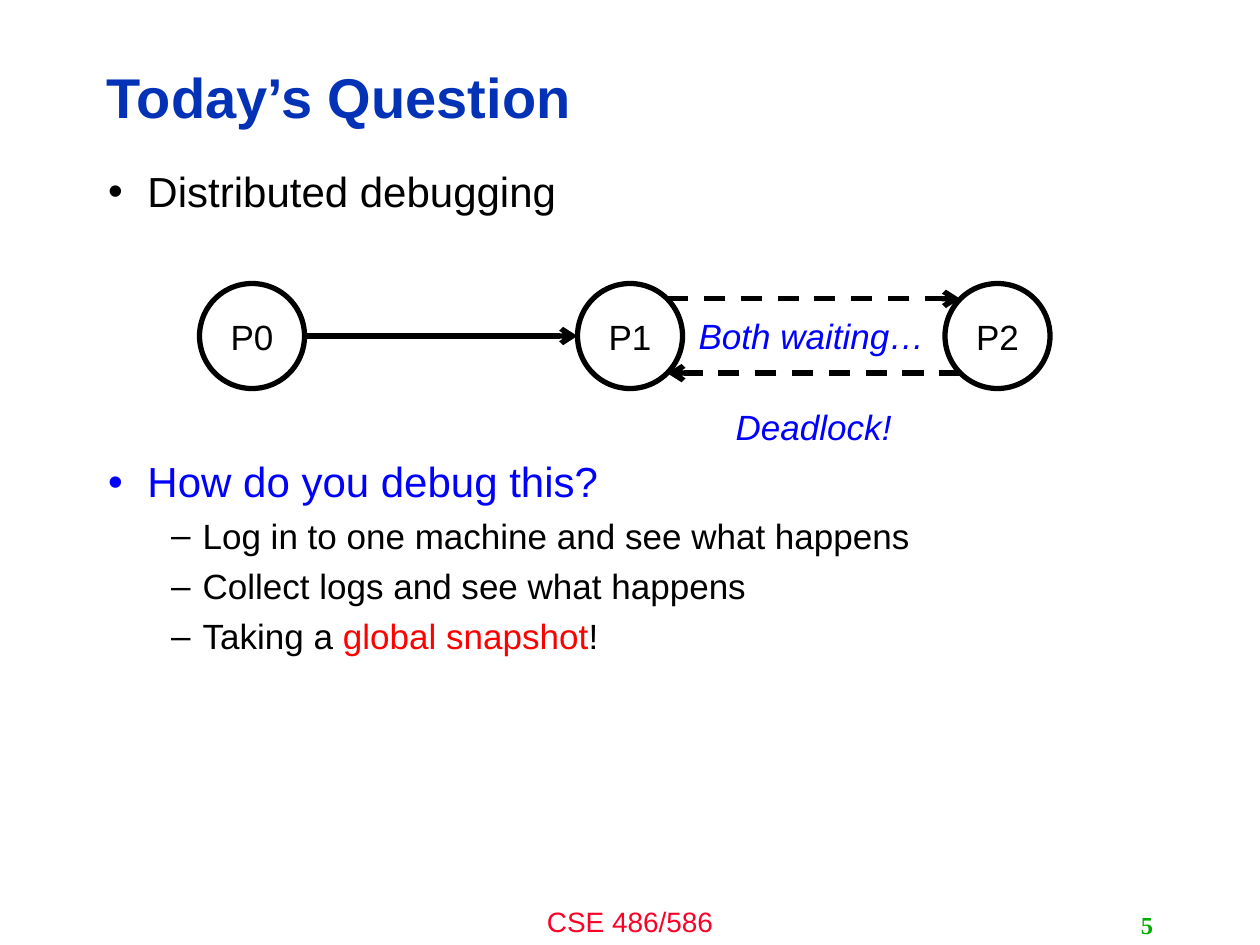
from math import sqrt

from lxml.etree import SubElement
from pptx import Presentation
from pptx.dml.color import RGBColor
from pptx.enum.dml import MSO_LINE
from pptx.enum.shapes import MSO_CONNECTOR, MSO_SHAPE
from pptx.enum.text import MSO_ANCHOR, PP_ALIGN
from pptx.oxml.ns import qn
from pptx.util import Pt

BLACK = RGBColor(0x00, 0x00, 0x00)
WHITE = RGBColor(0xFF, 0xFF, 0xFF)
BLUE = RGBColor(0x00, 0x00, 0xFF)
NAVY = RGBColor(0x03, 0x32, 0xB7)
RED = RGBColor(0xFF, 0x00, 0x00)
ROSE = RGBColor(0xFC, 0x01, 0x28)
GREEN = RGBColor(0x00, 0xAE, 0x00)


class Sketch:
    """Holds the style and the slide being drawn."""

    face = "Arial"
    small = 20
    weight = 3

    def __init__(self, slide):
        self.shapes = slide.shapes

    def style(self, para, size, color, bold=None, italic=None, face=None):
        font = para.font
        font.name = face or self.face
        font.size = Pt(size)
        font.bold = bold
        font.italic = italic
        font.color.rgb = color

    def frame(self, left, top, width, height, anchor=MSO_ANCHOR.TOP):
        box = self.shapes.add_textbox(Pt(left), Pt(top), Pt(width), Pt(height))
        frame = box.text_frame
        frame.word_wrap = True
        frame.vertical_anchor = anchor
        return frame

    def label(self, text, place, size, color, align=PP_ALIGN.CENTER,
              anchor=MSO_ANCHOR.TOP, **look):
        para = self.frame(*place, anchor).paragraphs[0]
        para.text = text
        para.alignment = align
        self.style(para, size, color, **look)

    def bullet(self, para, parts, mark, margin, hang, size, color, gap):
        """Fill a bulleted paragraph from (text, colour or None) parts."""
        props = para._p.get_or_add_pPr()
        props.set("marL", str(Pt(margin)))
        props.set("indent", str(Pt(-hang)))
        SubElement(props, qn("a:buFont"), typeface=self.face)
        SubElement(props, qn("a:buChar"), char=mark)
        para.line_spacing = 0.9
        para.space_before = Pt(gap)
        self.style(para, size, color)
        for text, tint in parts:
            run = para.add_run()
            run.text = text
            if tint:
                run.font.color.rgb = tint

    def node(self, text, x, y, radius):
        """Draw a labelled circle centred on x, y."""
        side = Pt(2 * radius)
        shape = self.shapes.add_shape(
            MSO_SHAPE.OVAL, Pt(x - radius), Pt(y - radius), side, side)
        shape.shadow.inherit = False
        shape.fill.solid()
        shape.fill.fore_color.rgb = WHITE
        shape.line.color.rgb = BLACK
        shape.line.width = Pt(self.weight)
        frame = shape.text_frame
        frame.vertical_anchor = MSO_ANCHOR.MIDDLE
        para = frame.paragraphs[0]
        para.text = text
        para.alignment = PP_ALIGN.CENTER
        self.style(para, self.small, BLACK)

    def arrow(self, start, end, y, dash=None):
        link = self.shapes.add_connector(
            MSO_CONNECTOR.STRAIGHT, Pt(start), Pt(y), Pt(end), Pt(y))
        link.line.color.rgb = BLACK
        link.line.width = Pt(self.weight)
        if dash:
            link.line.dash_style = dash
        SubElement(link.line._get_or_add_ln(), qn("a:tailEnd"), type="arrow")
        SubElement(link._element.spPr, qn("a:effectLst"))


def outline(sketch):
    body = sketch.frame(54.72, 94.3, 604.8, 388)
    tops = [("Distributed debugging", BLACK, 0),
            ("How do you debug this?", BLUE, 140)]
    subs = [[("Log in to one machine and see what happens", None)],
            [("Collect logs and see what happens", None)],
            [("Taking a ", None), ("global snapshot", RED), ("!", None)]]
    for text, color, gap in tops:
        para = body.add_paragraph() if gap else body.paragraphs[0]
        sketch.bullet(para, [(text, color)], "•", 22.5, 22.5, 24, color, gap)
    for parts in subs:
        sketch.bullet(body.add_paragraph(), parts, "–", 54, 18,
                      sketch.small, BLACK, 7)


def diagram(sketch):
    mid, radius = 192, 30
    nodes = {"P0": 144, "P1": 360, "P2": 570}
    for text, x in nodes.items():
        sketch.node(text, x, mid, radius)
    first, second, third = nodes.values()
    sketch.arrow(first + radius, second - radius, mid)
    slant = radius / sqrt(2)
    near, far = second + slant, third - slant
    sketch.arrow(near, far, mid - slant, MSO_LINE.DASH)
    sketch.arrow(far, near, mid + slant, MSO_LINE.DASH)
    for text, left, top in [("Deadlock!", 372, 228),
                            ("Both waiting…", 370.8, 176.4)]:
        sketch.label(text, (left, top, 186, 31.5), sketch.small, BLUE,
                     italic=True)


def main():
    deck = Presentation()
    deck.slide_width, deck.slide_height = Pt(720), Pt(540)
    sketch = Sketch(deck.slides.add_slide(deck.slide_layouts[6]))
    sketch.label("CSE 486/586", (240, 513.4, 240, 26.6), 16, ROSE)
    sketch.label("Today’s Question", (54, 26, 574.5, 58.3), 32, NAVY,
                 PP_ALIGN.LEFT, MSO_ANCHOR.MIDDLE, bold=True)
    outline(sketch)
    sketch.label("5", (516, 517, 150, 23), 14, GREEN, PP_ALIGN.RIGHT,
                 MSO_ANCHOR.MIDDLE, bold=True, face="Times New Roman")
    diagram(sketch)
    deck.save("out.pptx")


if __name__ == "__main__":
    main()
